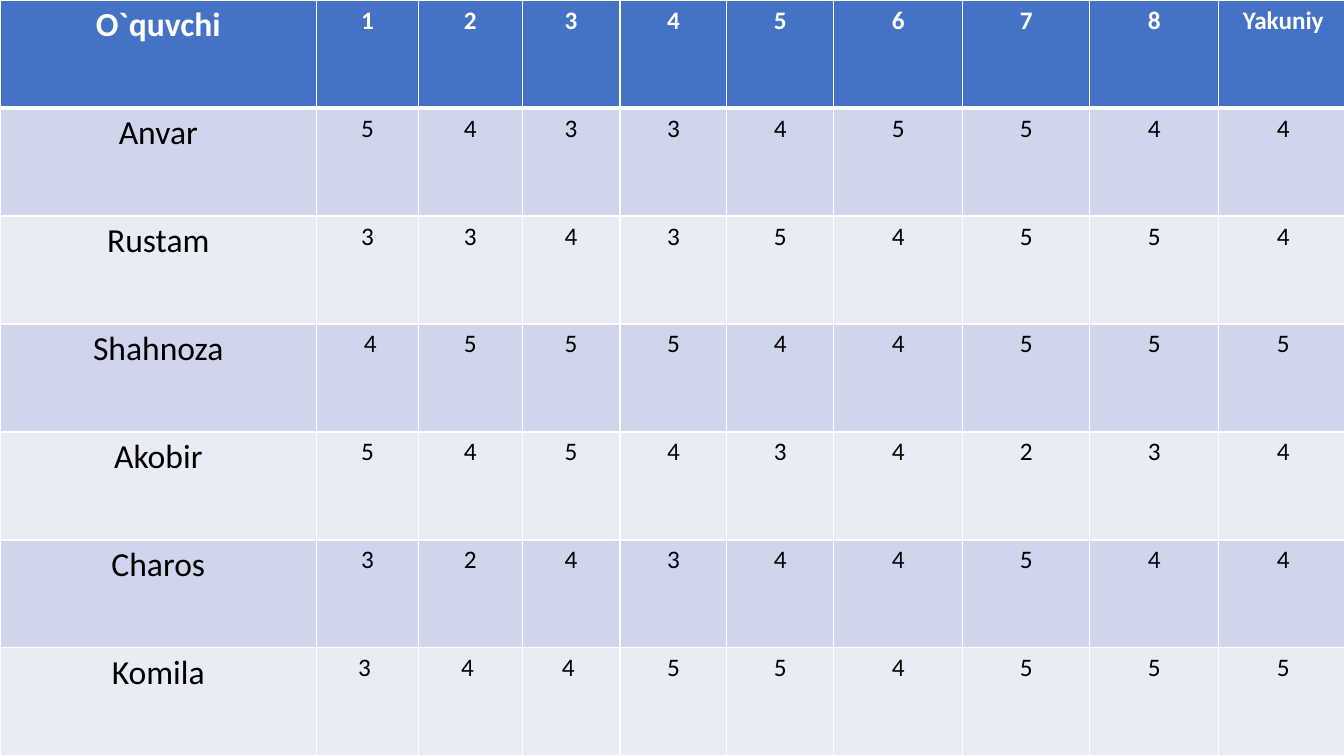
from lxml import etree
from pptx import Presentation
from pptx.dml.color import RGBColor
from pptx.enum.text import PP_ALIGN
from pptx.oxml.ns import qn
from pptx.util import Inches, Pt

CENTER = PP_ALIGN.CENTER
BLANK_LAYOUT = 6
COLORS = {
    "header": "4472C4",
    "odd": "CFD5EA",
    "even": "E9EBF5",
    "border": "FFFFFF",
    "header_text": "FFFFFF",
    "text": "000000",
}
SLIDE_WIDTH, SLIDE_HEIGHT = 13.33, 7.5
COLUMN_WIDTHS = [3.14, 1.01, 1.03, 0.97, 1.06, 1.06, 1.28, 1.26, 1.28, 1.28]
GRADES = [
    ["O`quvchi", "1", "2", "3", "4", "5", "6", "7", "8", "Yakuniy"],
    ["Anvar", "5", "4", "3", "3", "4", "5", "5", "4", "4"],
    ["Rustam", "3", "3", "4", "3", "5", "4", "5", "5", "4"],
    ["Shahnoza", " 4", "5", "5", "5", "4", "4", "5", "5", "5"],
    ["Akobir", "5", "4", "5", "4", "3", "4", "2", "3", "4"],
    ["Charos", "3", "2", "4", "3", "4", "4", "5", "4", "4"],
    ["Komila", "3 ", "4 ", "4 ", "5", "5", "4", "5", "5", "5"],
]


def add_border(cell, side, points):
    line = etree.SubElement(cell._tc.get_or_add_tcPr(), qn(f"a:{side}"), w=str(Pt(points)))
    fill = etree.SubElement(line, qn("a:solidFill"))
    etree.SubElement(fill, qn("a:srgbClr"), val=COLORS["border"])


presentation = Presentation()
presentation.slide_width = Inches(SLIDE_WIDTH)
presentation.slide_height = Inches(SLIDE_HEIGHT)
slide = presentation.slides.add_slide(presentation.slide_layouts[BLANK_LAYOUT])

gradebook = slide.shapes.add_table(
    len(GRADES), len(COLUMN_WIDTHS), 0, 0,
    Inches(sum(COLUMN_WIDTHS)), Inches(SLIDE_HEIGHT),
).table
for column, width in zip(gradebook.columns, COLUMN_WIDTHS):
    column.width = Inches(width)

for row_index, student in enumerate(GRADES):
    is_header = row_index == 0
    band = "header" if is_header else ("odd" if row_index % 2 else "even")
    border_widths = {
        "lnL": 1,
        "lnR": 1,
        "lnT": 3 if row_index == 1 else 1,
        "lnB": 3 if is_header else 1,
    }
    for column_index, entry in enumerate(student):
        cell = gradebook.cell(row_index, column_index)
        for side, points in border_widths.items():
            add_border(cell, side, points)
        cell.fill.solid()
        cell.fill.fore_color.rgb = RGBColor.from_string(COLORS[band])

        paragraph = cell.text_frame.paragraphs[0]
        paragraph.alignment = CENTER
        run = paragraph.add_run()
        run.text = entry
        font_format = {
            "name": "Calibri",
            "size": Pt(24 if column_index == 0 else 18),
            "bold": is_header,
        }
        for attribute, value in font_format.items():
            setattr(run.font, attribute, value)
        run.font.color.rgb = RGBColor.from_string(
            COLORS["header_text" if is_header else "text"]
        )

presentation.save("out.pptx")
